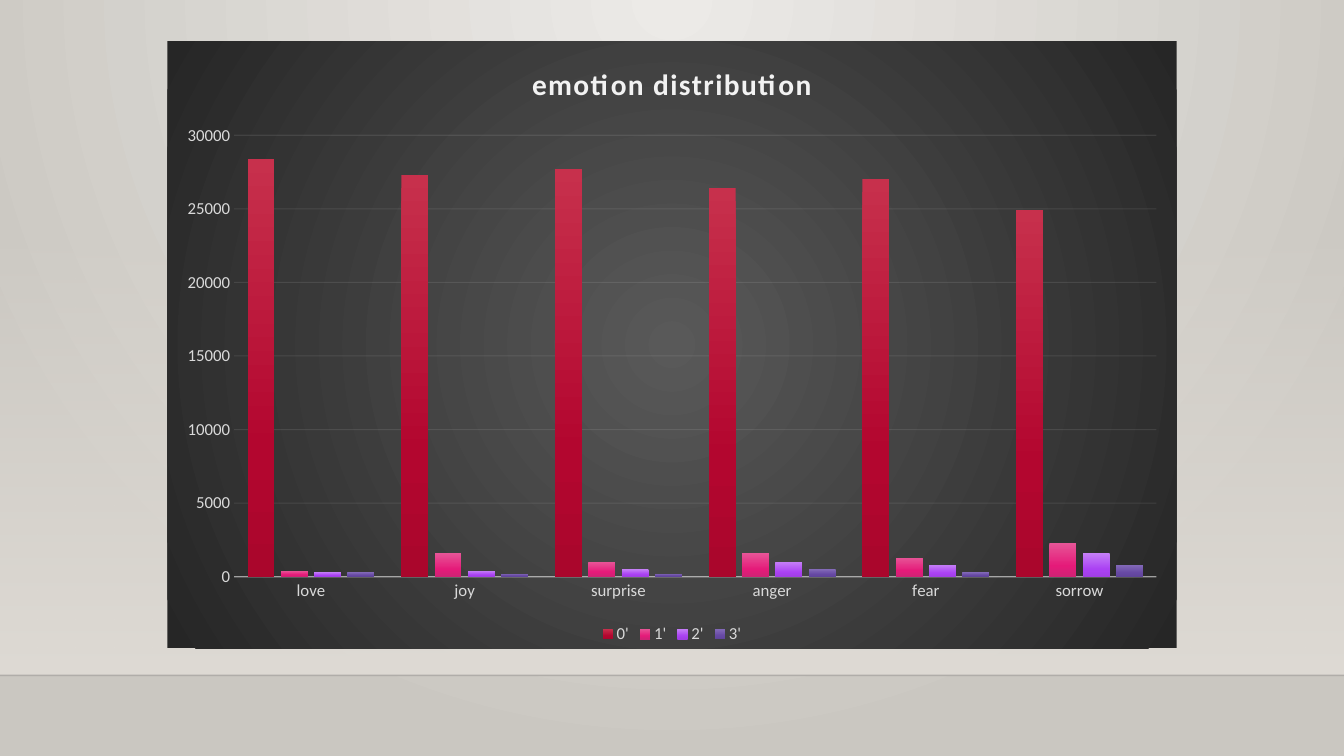
from dataclasses import dataclass
from typing import NamedTuple

from lxml.etree import SubElement
from pptx import Presentation
from pptx.chart.axis import CategoryAxis, ValueAxis
from pptx.chart.chart import Chart
from pptx.chart.data import CategoryChartData
from pptx.dml.color import RGBColor
from pptx.dml.line import LineFormat
from pptx.enum.chart import XL_CHART_TYPE, XL_LEGEND_POSITION, XL_TICK_MARK
from pptx.enum.shapes import MSO_CONNECTOR, MSO_SHAPE
from pptx.oxml.ns import qn
from pptx.oxml.xmlchemy import BaseOxmlElement
from pptx.slide import Slide
from pptx.text.text import Font
from pptx.util import Inches, Pt


class Stop(NamedTuple):
    place: int
    color: str
    alpha: int = 100


class Blend(NamedTuple):
    stops: list[Stop]
    focus: tuple[int, int, int, int] | None = None


class Pen(NamedTuple):
    color: str
    width: float
    alpha: int


class Level(NamedTuple):
    name: str
    counts: list[int]
    blend: Blend


def shade(top: str, main: str, base: str) -> Blend:
    return Blend([Stop(0, top), Stop(69, main), Stop(100, base)])


@dataclass(frozen=True)
class Theme:
    face: str = "Calibri"
    base: str = "000000"
    label: str = "D9D9D9"
    title: str = "F2F2F2"
    base_size: int = 10
    label_size: int = 12
    title_size: int = 21
    wall: Blend = Blend([Stop(0, "ECEAE7"), Stop(100, "CAC7C1")], (43, 0, 43, 100))
    haze: Blend = Blend([Stop(0, "DFDBD5", 0), Stop(100, "DFDBD5")])
    panel: Blend = Blend([Stop(0, "595959"), Stop(100, "262626")], (50, 50, 50, 50))
    floor: Pen = Pen("000001", 1, 20)
    axis: Pen = Pen("F2F2F2", 1, 54)
    grid: Pen = Pen("F2F2F2", 0.75, 10)
    red: Blend = shade("C7304C", "B3062F", "AA062C")
    pink: Blend = shade("E75597", "E51A79", "CF2374")
    purple: Blend = shade("C57FF7", "AA41F3", "A13FE5")
    violet: Blend = shade("836AB8", "6648A3", "60459A")


THEME = Theme()
WIDTH, HEIGHT = Inches(13.33), Inches(7.5)
FLOOR = Inches(6.7)
MOODS = ["love", "joy", "surprise", "anger", "fear", "sorrow"]
LEVELS = [
    Level("0'", [28400, 27300, 27700, 26400, 27000, 24900], THEME.red),
    Level("1'", [400, 1600, 1000, 1600, 1300, 2300], THEME.pink),
    Level("2'", [300, 400, 500, 1000, 800, 1600], THEME.purple),
    Level("3'", [300, 200, 200, 500, 300, 800], THEME.violet),
]


def fade(color: BaseOxmlElement, alpha: int) -> None:
    SubElement(color, qn("a:alpha"), val=str(alpha * 1000))


def paint(props: BaseOxmlElement, blend: Blend) -> None:
    solid = props.find(qn("a:solidFill"))
    grad = SubElement(props, qn("a:gradFill"), rotWithShape="1")
    stops = SubElement(grad, qn("a:gsLst"))
    for stop in blend.stops:
        mark = SubElement(stops, qn("a:gs"), pos=str(stop.place * 1000))
        color = SubElement(mark, qn("a:srgbClr"), val=stop.color)
        if stop.alpha < 100:
            fade(color, stop.alpha)
    if blend.focus:
        ring = SubElement(grad, qn("a:path"), path="circle")
        sides = {side: str(part * 1000) for side, part in zip("ltrb", blend.focus)}
        SubElement(ring, qn("a:fillToRect"), **sides)
    else:
        SubElement(grad, qn("a:lin"), ang="5400000", scaled="0")
    if solid is not None:
        props.replace(solid, grad)


def stroke(line: LineFormat, props: BaseOxmlElement, pen: Pen) -> None:
    line.color.rgb = RGBColor.from_string(pen.color)
    line.width = Pt(pen.width)
    fade(props.xpath("a:ln/a:solidFill/a:srgbClr")[0], pen.alpha)


def style(font: Font, size: int, color: str, bold: bool = False) -> None:
    font.name, font.size, font.bold = THEME.face, Pt(size), bold
    font.color.rgb = RGBColor.from_string(color)


def add_room(slide: Slide) -> None:
    slide.background.fill.solid()
    paint(slide._element.xpath("p:cSld/p:bg/p:bgPr")[0], THEME.wall)
    top = Inches(2.21)
    haze = slide.shapes.add_shape(MSO_SHAPE.RECTANGLE, 0, top, WIDTH, FLOOR - top)
    haze.shadow.inherit = False
    haze.line.fill.background()
    haze.fill.solid()
    paint(haze._element.spPr, THEME.haze)
    edge = slide.shapes.add_connector(MSO_CONNECTOR.STRAIGHT, 0, FLOOR, WIDTH, FLOOR)
    stroke(edge.line, edge._element.spPr, THEME.floor)
    SubElement(edge._element.spPr, qn("a:effectLst"))


def add_panel(chart: Chart) -> None:
    space = chart._chartSpace
    panel = SubElement(space, qn("c:spPr"))
    paint(panel, THEME.panel)
    SubElement(SubElement(panel, qn("a:ln")), qn("a:noFill"))
    space.find(qn("c:chart")).addnext(panel)


def add_title(chart: Chart, text: str) -> None:
    frame = chart.chart_title.text_frame
    frame.text = text
    style(frame.paragraphs[0].font, THEME.title_size, THEME.title, True)
    frame._txBody.xpath(".//a:defRPr")[0].set("spc", "100")
    chart.chart_title.include_in_layout = False


def set_axis(axis: CategoryAxis | ValueAxis) -> None:
    axis.major_tick_mark = axis.minor_tick_mark = XL_TICK_MARK.NONE
    style(axis.tick_labels.font, THEME.label_size, THEME.label)


def add_chart(slide: Slide) -> None:
    data = CategoryChartData(number_format="General")
    data.categories = MOODS
    for level in LEVELS:
        data.add_series(level.name, level.counts)
    chart = slide.shapes.add_chart(
        XL_CHART_TYPE.COLUMN_CLUSTERED,
        Inches(1.66), Inches(0.41), Inches(10.01), Inches(6.02), data,
    ).chart
    style(chart.font, THEME.base_size, THEME.base)
    add_panel(chart)
    add_title(chart, "emotion distribution")

    cats, counts = chart.category_axis, chart.value_axis
    set_axis(cats)
    set_axis(counts)
    line = cats.format.line
    stroke(line, cats._element.xpath("c:spPr")[0], THEME.axis)
    counts.format.line.fill.background()
    counts.minimum_scale, counts.maximum_scale = 0, 30000
    counts.major_unit = 5000
    line = counts.major_gridlines.format.line
    stroke(line, counts._element.xpath("c:majorGridlines/c:spPr")[0], THEME.grid)

    chart.has_legend = True
    chart.legend.position = XL_LEGEND_POSITION.BOTTOM
    chart.legend.include_in_layout = False
    style(chart.legend.font, THEME.label_size, THEME.label)

    plot = chart.plots[0]
    plot.gap_width, plot.overlap = 100, -24
    plot.vary_by_categories = False
    for bars, level in zip(plot.series, LEVELS):
        bars.format.fill.solid()
        paint(bars._element.xpath("c:spPr")[0], level.blend)


deck = Presentation()
deck.slide_width, deck.slide_height = WIDTH, HEIGHT
page = deck.slides.add_slide(deck.slide_layouts[6])
add_room(page)
add_chart(page)
deck.save("out.pptx")
